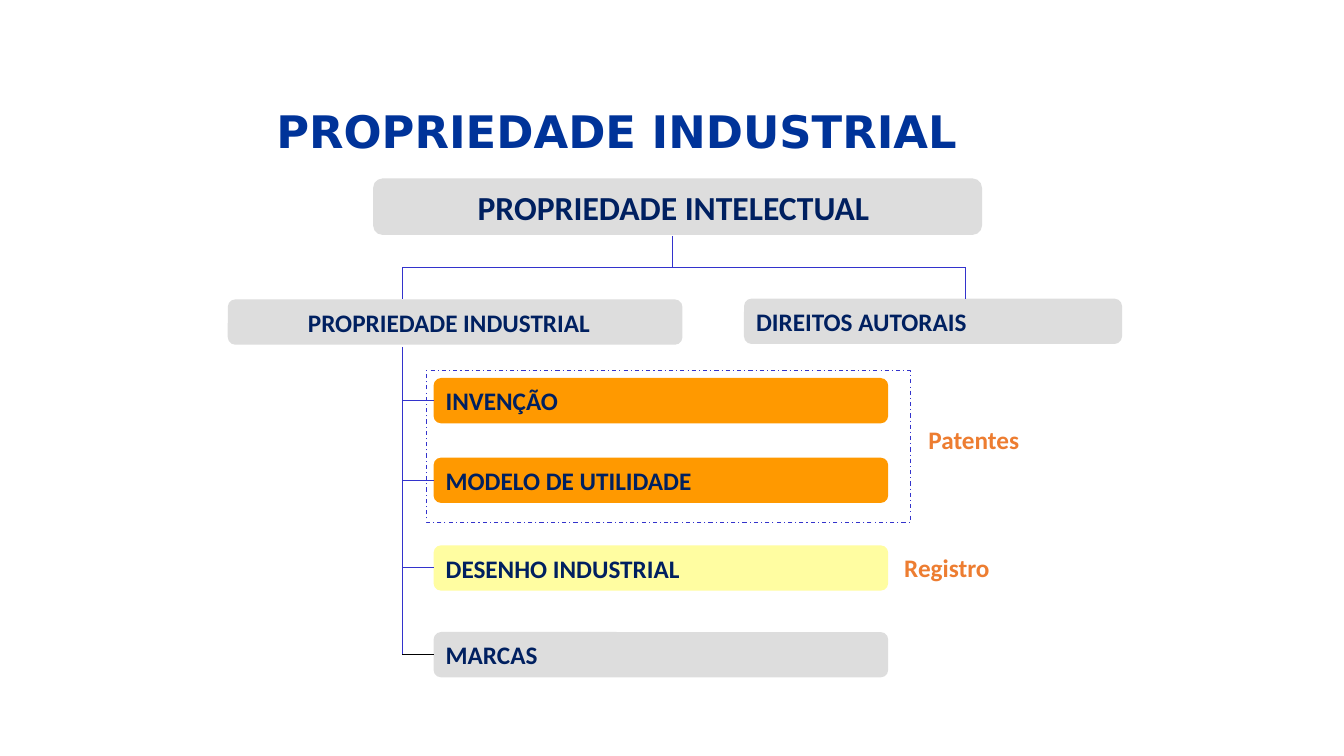
from lxml.etree import SubElement
from pptx import Presentation
from pptx.dml.color import RGBColor
from pptx.enum.dml import MSO_LINE
from pptx.enum.shapes import MSO_CONNECTOR, MSO_SHAPE
from pptx.enum.text import MSO_ANCHOR, MSO_AUTO_SIZE, PP_ALIGN
from pptx.oxml.ns import qn
from pptx.util import Inches, Pt

NAVY = RGBColor(0x00, 0x20, 0x60)
TITLE_BLUE = RGBColor(0x00, 0x33, 0x99)
LINE_BLUE = RGBColor(0x33, 0x33, 0xCC)
BLACK = RGBColor(0x00, 0x00, 0x00)
GREY = RGBColor(0xDD, 0xDD, 0xDD)
ORANGE = RGBColor(0xFF, 0x99, 0x00)
YELLOW = RGBColor(0xFF, 0xFD, 0xA1)
LABEL_ORANGE = RGBColor(0xED, 0x7D, 0x31)

deck = Presentation()
deck.slide_width, deck.slide_height = Inches(13.33), Inches(7.5)
COL, ROW = deck.slide_width / 100, deck.slide_height / 100
slide = deck.slides.add_slide(deck.slide_layouts[5])
shapes = slide.shapes


def write(holder, text, size=18, color=NAVY, font="Calibri",
          align=PP_ALIGN.LEFT, left=0.1, right=0.1):
    frame = holder.text_frame
    frame.word_wrap = True
    frame.auto_size = MSO_AUTO_SIZE.NONE
    frame.vertical_anchor = MSO_ANCHOR.MIDDLE
    frame.margin_left, frame.margin_right = Inches(left), Inches(right)
    paragraph = frame.paragraphs[0]
    paragraph.alignment = align
    run = paragraph.add_run()
    run.text = text
    run.font.name, run.font.size, run.font.bold = font, Pt(size), True
    run.font.color.rgb = color


def draw_line(x1, y1, x2, y2, color=LINE_BLUE):
    line = shapes.add_connector(MSO_CONNECTOR.STRAIGHT, int(x1 * COL), int(y1 * ROW),
                                int(x2 * COL), int(y2 * ROW))
    line.line.color.rgb, line.line.width = color, Pt(0.75)
    SubElement(line._element.spPr, qn("a:effectLst"))
    return line


heading = shapes.title
heading.left, heading.top = int(18.68 * COL), int(14.4 * ROW)
heading.width, heading.height = int(69.69 * COL), int(5.73 * ROW)
write(heading, "PROPRIEDADE INDUSTRIAL", size=32, color=TITLE_BLUE,
      font="DejaVu Sans", left=0.25)

TRUNK, BAR, AUTHOR = 29.93, 35.33, 71.87
BRANCH_LEFT, BRANCH_WIDTH, BOX_HEIGHT = 32.26, 33.83, 6
centred = PP_ALIGN.CENTER

boxes = [
    ("PROPRIEDADE INTELECTUAL", 27.76, 23.6, 45.31, 7.47, GREY,
     dict(size=24, align=centred, right=0.18)),
    ("PROPRIEDADE INDUSTRIAL", 16.95, 39.6, BRANCH_WIDTH, BOX_HEIGHT, GREY,
     dict(align=centred, right=0.22)),
    ("DIREITOS AUTORAIS", 55.36, 39.5, 28.13, BOX_HEIGHT, GREY, {}),
]
branches = [("INVENÇÃO", 50, ORANGE, LINE_BLUE),
            ("MODELO DE UTILIDADE", 60.53, ORANGE, LINE_BLUE),
            ("DESENHO INDUSTRIAL", 72.13, YELLOW, LINE_BLUE),
            ("MARCAS", 83.6, GREY, BLACK)]
boxes += [(name, BRANCH_LEFT, top, BRANCH_WIDTH, BOX_HEIGHT, fill, {})
          for name, top, fill, _ in branches]

drawn = {}
for name, left, top, width, height, fill, style in boxes:
    box = shapes.add_shape(MSO_SHAPE.ROUNDED_RECTANGLE, int(left * COL), int(top * ROW),
                           int(width * COL), int(height * ROW))
    box.shadow.inherit = False
    box.fill.solid()
    box.fill.fore_color.rgb = fill
    box.line.fill.background()
    write(box, name, **style)
    drawn[name] = box

trunk_end = branches[-1][1] + BOX_HEIGHT / 2
for ends in [(TRUNK, BAR, AUTHOR, BAR),
             (TRUNK, BAR, TRUNK, 39.6),
             (50.04, 31.2, 50.04, BAR),
             (AUTHOR, BAR, AUTHOR, 39.5),
             (TRUNK, 45.87, TRUNK, trunk_end)]:
    draw_line(*ends)

for name, top, _, color in branches:
    middle = top + BOX_HEIGHT / 2
    twig = draw_line(TRUNK, middle, BRANCH_LEFT, middle, color)
    twig.end_connect(drawn[name], 1)

patent_group = shapes.add_shape(MSO_SHAPE.RECTANGLE, int(31.73 * COL), int(49.07 * ROW),
                                int(36.01 * COL), int(20 * ROW))
patent_group.shadow.inherit = False
patent_group.fill.background()
patent_group.line.color.rgb, patent_group.line.width = LINE_BLUE, Pt(0.75)
patent_group.line.dash_style = MSO_LINE.DASH_DOT

for protection, left, top in [("Patentes", 68.34, 55.33), ("Registro", 66.54, 72.13)]:
    label = shapes.add_textbox(int(left * COL), int(top * ROW),
                               int(15.38 * COL), int(5.73 * ROW))
    write(label, protection, color=LABEL_ORANGE)

deck.save("out.pptx")
